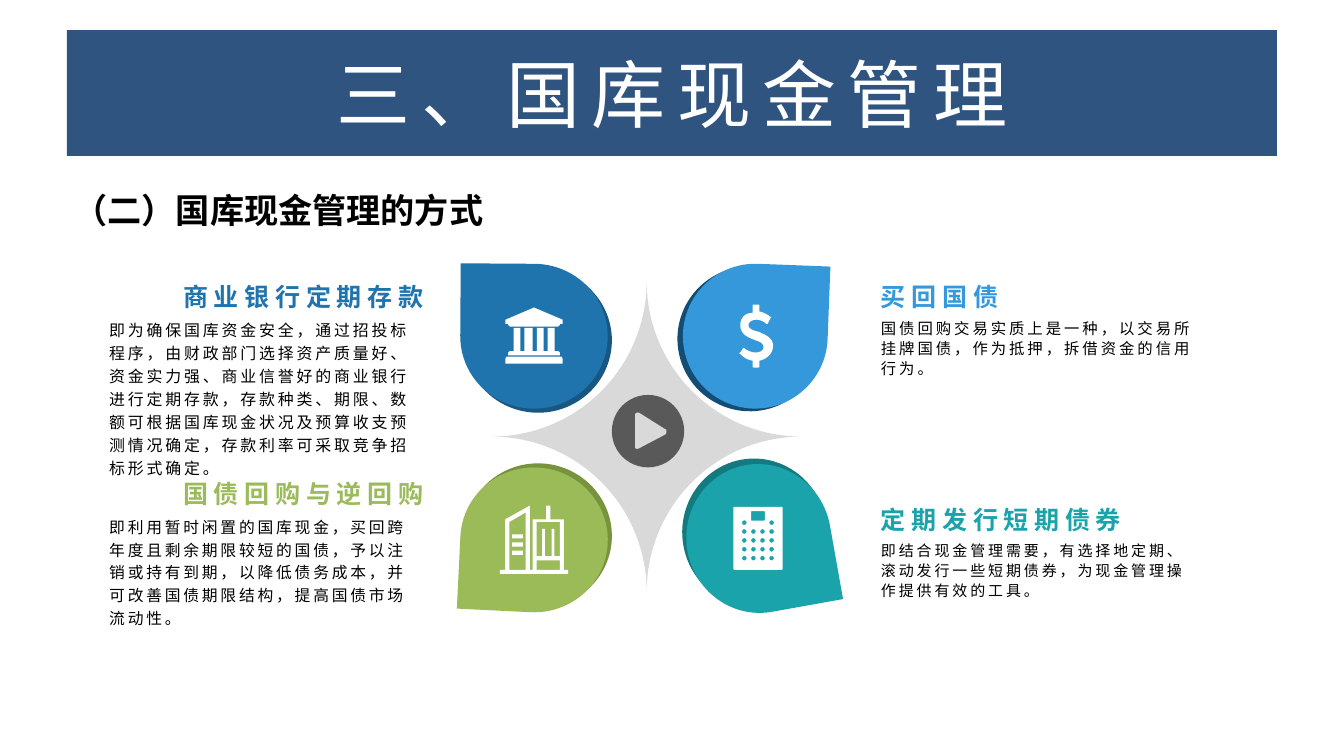
import math
from lxml import etree
from pptx import Presentation
from pptx import util as u
from pptx.dml.color import RGBColor
from pptx.enum import shapes, text
from pptx.oxml.ns import qn

PX = 9144  # one px is a hundredth of an inch
CJK = "Noto Sans CJK SC"
WHITE, GREY = "FFFFFF", "D9D9D9"
LEFT, CENTER, RIGHT = text.PP_ALIGN.LEFT, text.PP_ALIGN.CENTER, text.PP_ALIGN.RIGHT
TOP, MIDDLE, BOTTOM = (text.MSO_ANCHOR.TOP, text.MSO_ANCHOR.MIDDLE,
                       text.MSO_ANCHOR.BOTTOM)


def paint(shape, color):
    shape.shadow.inherit = False
    shape.fill.solid()
    shape.fill.fore_color.rgb = RGBColor.from_string(color)
    shape.line.fill.background()


def write(shape, words, insets, anchor, align, spacing, size, color, bold=False,
          tracking=0, font=CJK):
    frame = shape.text_frame
    left, top, right, bottom = (inset * PX for inset in insets)
    for name, value in dict(word_wrap=True, auto_size=text.MSO_AUTO_SIZE.NONE,
                            vertical_anchor=anchor, margin_left=left, margin_top=top,
                            margin_right=right, margin_bottom=bottom).items():
        setattr(frame, name, value)
    paragraph = frame.paragraphs[0]
    for name, value in dict(alignment=align, line_spacing=spacing,
                            space_before=u.Pt(0), space_after=u.Pt(0)).items():
        setattr(paragraph, name, value)
    run = paragraph.add_run()
    run.text = words
    for name, value in dict(size=u.Pt(size), bold=bold, name=font).items():
        setattr(run.font, name, value)
    run.font.color.rgb = RGBColor.from_string(color)
    properties = run._r.get_or_add_rPr()
    properties.set("spc", str(int(tracking * 100)))
    etree.SubElement(properties, qn("a:ea"), typeface=CJK)


presentation = Presentation()
presentation.slide_width, presentation.slide_height = 984 * PX, 551 * PX
slide = presentation.slides.add_slide(presentation.slide_layouts[5])

# Title band and subtitle
title = slide.shapes.title
title.left, title.top, title.width, title.height = (n * PX for n in (49, 22, 886, 92))
paint(title, "305480")
write(title, "三、国库现金管理", (9, 4, 9, 4), MIDDLE, CENTER, 1.0, 39, WHITE, tracking=6)
subtitle = slide.shapes.add_textbox(44 * PX, 134 * PX, 396 * PX, 40 * PX)
write(subtitle, "（二）国库现金管理的方式", (10, 5, 10, 5), TOP, LEFT, 1.0, 18, "000000",
      bold=True, font="Calibri")

# Central star, play button and petals, each petal above its darker shade
TEARDROP = shapes.MSO_SHAPE.TEAR
presets = [
    (shapes.MSO_SHAPE.PLAQUE, 360, 206, 227, 227, 0, GREY),
    (shapes.MSO_SHAPE.OVAL, 448, 289, 53, 53, 0, "595959"),
    (TEARDROP, 341, 195, 106, 108, 270.4, "175782"),
    (TEARDROP, 338, 192, 106, 108, 270.4, "1F74AD"),
    (TEARDROP, 496, 195, 106, 106, 2.2, "144D73"),
    (TEARDROP, 500, 193, 106, 106, 2.2, "3498DB"),
    (TEARDROP, 340, 339, 108, 106, 182.8, "77933C"),
    (TEARDROP, 337, 342, 108, 106, 182.8, "9BBB59"),
    (TEARDROP, 498, 337, 109, 106, 79.9, "147A7F"),
    (TEARDROP, 501, 341, 109, 106, 79.9, "1AA3AA"),
]
for kind, left, top, width, height, rotation, color in presets:
    shape = slide.shapes.add_shape(kind, left * PX, top * PX, width * PX, height * PX)
    shape.rotation = rotation
    paint(shape, color)
    if kind == shapes.MSO_SHAPE.PLAQUE:
        shape.adjustments[0] = 0.5

# Icon outlines: a pair is a corner, six numbers are a Bezier curve
play = [[(488, 316), (488, 315, 488, 314, 487, 314), (468, 302),
         (468, 302, 465, 301, 465, 304), (465, 327), (465, 328, 466, 329, 468, 328),
         (487, 318), (488, 317, 488, 317, 488, 316)]]

columns = [(376, 257), (376, 240)]
for x in (381, 390, 398):
    columns += [(x, 240), (x, 257), (x + 3, 257), (x + 3, 240)]
columns += [(406, 240), (406, 257), (408, 257), (410, 257, 410, 258, 410, 260),
            (372, 260), (372, 258, 372, 257, 374, 257)]
bank = [
    [(412, 234), (412, 237), (410, 237), (410, 238, 409, 239, 408, 239), (374, 239),
     (373, 239, 372, 238, 372, 237), (370, 237), (370, 234), (391, 225)],
    columns,
    [(412, 263), (412, 266), (370, 266), (370, 263), (370, 262, 371, 261, 371, 261),
     (411, 261), (411, 261, 412, 262, 412, 263)],
]

dollar = [[
    (556, 264), (556, 268), (556, 269, 556, 269, 555, 269), (552, 269),
    (551, 269, 551, 269, 551, 268), (551, 264), (545, 263, 542, 259, 542, 259),
    (541, 259, 541, 258, 542, 258), (544, 255), (544, 255, 545, 254, 545, 255),
    (545, 255, 549, 258, 553, 258), (556, 258, 559, 257, 559, 254),
    (559, 251, 556, 250, 553, 249), (548, 247, 542, 245, 542, 238),
    (542, 233, 545, 229, 551, 229), (551, 224), (551, 223, 551, 223, 552, 223),
    (555, 223), (556, 223, 556, 223, 556, 224), (556, 228),
    (561, 229, 564, 232, 564, 232), (565, 232, 565, 232, 564, 233), (562, 237),
    (562, 237, 561, 237, 561, 237), (561, 237, 558, 234, 554, 234),
    (550, 234, 548, 236, 548, 238), (548, 241, 552, 242, 556, 243),
    (560, 245, 566, 247, 566, 253), (566, 259, 561, 263, 556, 264)]]

buildings = [
    [(416, 420), (366, 420), (366, 417), (370, 417), (370, 380), (388, 370), (388, 417),
     (390, 417), (390, 380), (400, 380), (400, 370), (403, 370), (403, 380), (413, 380),
     (413, 417), (416, 417)],
    [(385, 375), (373, 382), (373, 417), (385, 417)],
    [(410, 382), (393, 382), (393, 407), (397, 407), (397, 387), (399, 387), (399, 407),
     (404, 407), (404, 387), (406, 387), (406, 407), (410, 407)],
    [(410, 410), (393, 410), (393, 417), (410, 417)],
]
for y in (391, 397, 403):
    buildings.append([(375, y), (383, y), (383, y + 3), (375, y + 3)])

calculator = [
    [(537, 372), (537, 371, 537, 371, 538, 371), (572, 371), (573, 371, 573, 371, 573, 372),
     (573, 416), (573, 417, 573, 417, 572, 417), (538, 417), (537, 417, 537, 417, 537, 416)],
    [(550, 375), (550, 374, 550, 374, 551, 374), (559, 374), (560, 374, 560, 374, 560, 375),
     (560, 380), (560, 381, 560, 381, 559, 381), (551, 381), (550, 381, 550, 381, 550, 380)],
]
for column in range(4):
    for row in range(5):
        if row or column in (0, 3):  # the display takes the middle of the first row
            x, y = 545 + column * 6.67, 382.5 + row * 6.5
            calculator.append([(x + 1.7 * math.cos(k * math.pi / 6),
                                y + 1.7 * math.sin(k * math.pi / 6)) for k in range(12)])

for icon, color in ((play, GREY), (bank, WHITE), (dollar, WHITE),
                    (buildings, WHITE), (calculator, WHITE)):
    builder = None
    for outline in icon:
        points = [outline[0]]
        for segment in outline[1:]:
            if len(segment) == 2:
                points.append(segment)
                continue
            nodes = [points[-1], segment[:2], segment[2:4], segment[4:]]
            for t in (0.125 * step for step in range(1, 9)):
                weights = [math.comb(3, k) * t ** k * (1 - t) ** (3 - k) for k in range(4)]
                points.append(tuple(sum(w * node[axis] for w, node in zip(weights, nodes))
                                    for axis in (0, 1)))
        points = [(round(x * PX), round(y * PX)) for x, y in points]
        if builder is None:
            builder = slide.shapes.build_freeform(*points[0], scale=1.0)
        else:
            builder.move_to(*points[0])
        builder.add_line_segments(points[1:], close=True)
    paint(builder.convert_to_shape(), color)

# Headings with their descriptions
methods = [
    (73, 196, RIGHT, "1F74AD", 8.4, 1.2, "商业银行定期存款",
     "即为确保国库资金安全，通过招投标程序，由财政部门选择资产质量好、资金实力强、"
     "商业信誉好的商业银行进行定期存款，存款种类、期限、数额可根据国库现金状况及"
     "预算收支预测情况确定，存款利率可采取竞争招标形式确定。"),
    (638, 196, LEFT, "3498DB", 8.1, 1.1, "买回国债",
     "国债回购交易实质上是一种，以交易所挂牌国债，作为抵押，拆借资金的信用行为。"),
    (73, 340, RIGHT, "9BBB59", 8.3, 1.2, "国债回购与逆回购",
     "即利用暂时闲置的国库现金，买回跨年度且剩余期限较短的国债，予以注销或持有到期，"
     "以降低债务成本，并可改善国债期限结构，提高国债市场流动性。"),
    (638, 359, LEFT, "1AA3AA", 7.9, 1.1, "定期发行短期债券",
     "即结合现金管理需要，有选择地定期、滚动发行一些短期债券，为现金管理操作提供有效的工具。"),
]
for left, top, align, color, size, spacing, heading, description in methods:
    box = slide.shapes.add_textbox(left * PX, top * PX, 244 * PX, 32 * PX)
    write(box, heading, (7, 4, 7, 0), BOTTOM, align, 1.2, 13.2, color, bold=True, tracking=3)
    box = slide.shapes.add_textbox(left * PX, (top + 36) * PX, 244 * PX, 51 * PX)
    write(box, description, (7, 0, 7, 4), TOP, LEFT, spacing, size, "000000", tracking=1.5)

presentation.save("out.pptx")
